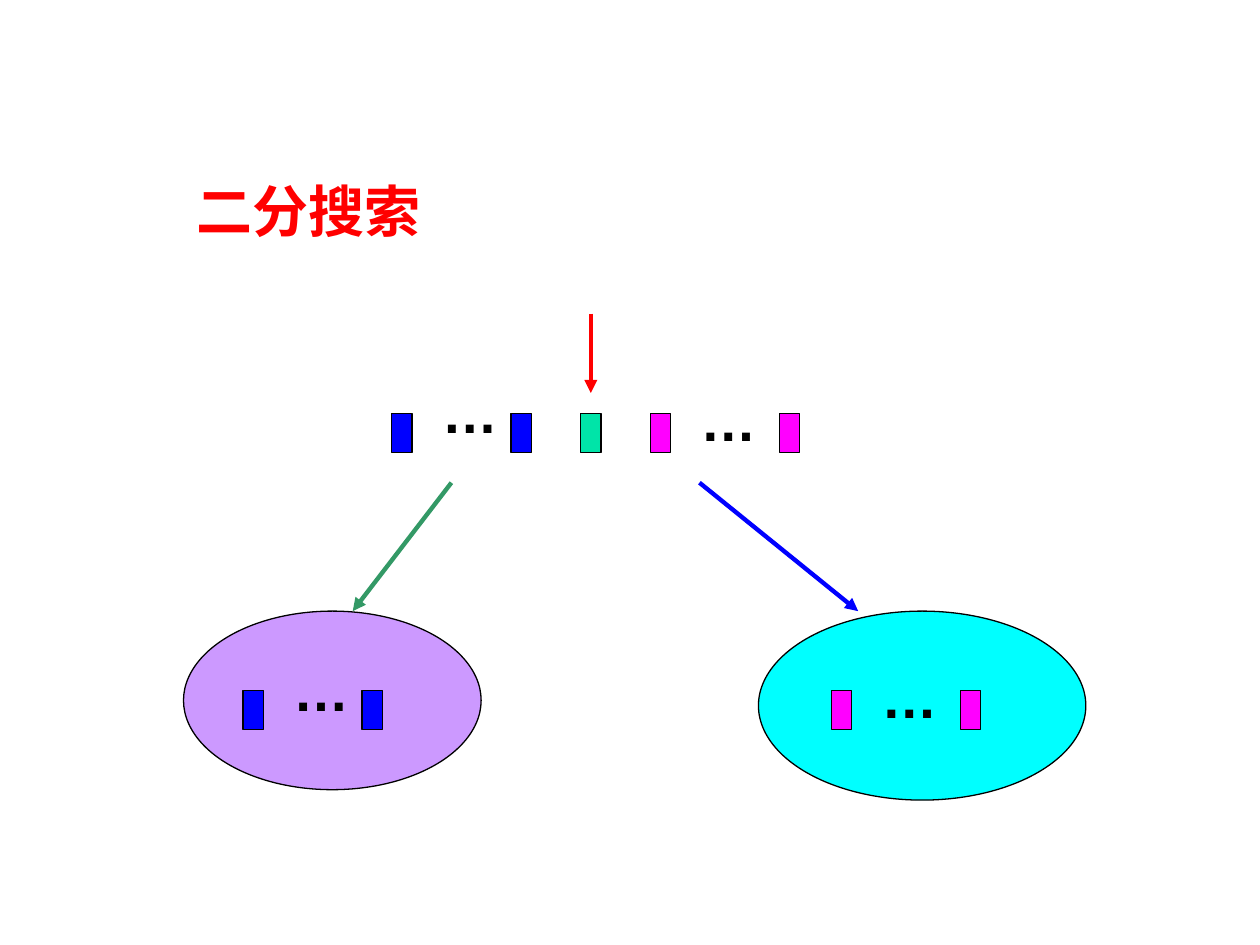
from dataclasses import dataclass

from lxml.etree import SubElement
from pptx import Presentation
from pptx.dml.color import RGBColor as Rgb
from pptx.enum.shapes import MSO_CONNECTOR as Connector, MSO_SHAPE as Preset
from pptx.enum.text import MSO_ANCHOR as Anchor, MSO_AUTO_SIZE as AutoSize, PP_ALIGN as Align
from pptx.oxml.ns import qn
from pptx.util import Cm, Pt


@dataclass(frozen=True)
class Theme:
    red: Rgb = Rgb(0xFF, 0x00, 0x00)
    black: Rgb = Rgb(0x00, 0x00, 0x00)
    blue: Rgb = Rgb(0x00, 0x00, 0xFF)
    magenta: Rgb = Rgb(0xFF, 0x00, 0xFF)
    mint: Rgb = Rgb(0x00, 0xE4, 0xA8)
    green: Rgb = Rgb(0x33, 0x99, 0x66)
    lilac: Rgb = Rgb(0xCC, 0x99, 0xFF)
    cyan: Rgb = Rgb(0x00, 0xFF, 0xFF)
    title_font: str = "Lato"
    body_font: str = "Arial"
    text_size: Pt = Pt(32)
    outline: Pt = Pt(0.75)
    arrow: Pt = Pt(2.5)


THEME = Theme()
BLOCK_WIDTH, BLOCK_HEIGHT = 0.41, 0.79
ROW_TOP, SUBSET_TOP = 8.33, 13.92


# All positions below are in centimetres
@dataclass(frozen=True)
class Half:
    """First and last element of a half, with dots between them."""
    color: Rgb
    step: float
    dots_rise: float


@dataclass(frozen=True)
class Subset:
    left: float
    top: float
    width: float
    height: float
    fill: Rgb


@dataclass(frozen=True)
class Arrow:
    start: tuple[float, float]
    end: tuple[float, float]
    color: Rgb


LOWER = Half(THEME.blue, 2.4, 0.84)
UPPER = Half(THEME.magenta, 2.6, 0.69)
HALVES = [
    (LOWER, 7.9, ROW_TOP), (UPPER, 13.11, ROW_TOP),
    (LOWER, 4.9, SUBSET_TOP), (UPPER, 16.76, SUBSET_TOP),
]
SUBSETS = [
    Subset(15.29, 12.32, 6.6, 3.81, THEME.cyan),
    Subset(3.7, 12.32, 6.0, 3.6, THEME.lilac),
]
ARROWS = [
    Arrow((11.91, 6.32), (11.91, 7.92), THEME.red),
    Arrow((9.1, 9.73), (7.11, 12.32), THEME.green),
    Arrow((14.1, 9.73), (17.3, 12.32), THEME.blue),
]


def add_filled(page, preset, left: float, top: float, width: float, height: float, fill: Rgb) -> None:
    shape = page.shapes.add_shape(preset, Cm(left), Cm(top), Cm(width), Cm(height))
    shape.shadow.inherit = False
    shape.fill.solid()
    shape.fill.fore_color.rgb = fill
    shape.line.color.rgb = THEME.black
    shape.line.width = THEME.outline


def add_block(page, left: float, top: float, fill: Rgb) -> None:
    add_filled(page, Preset.RECTANGLE, left, top, BLOCK_WIDTH, BLOCK_HEIGHT, fill)


def write(box, text: str, font_name: str, color: Rgb, wrap: bool) -> None:
    frame = box.text_frame
    frame.word_wrap = wrap
    frame.auto_size = AutoSize.SHAPE_TO_FIT_TEXT
    frame.vertical_anchor = Anchor.TOP
    para = frame.paragraphs[0]
    para.alignment = Align.LEFT
    span = para.add_run()
    span.text = text
    span.font.name = font_name
    span.font.size = THEME.text_size
    span.font.bold = True
    span.font.color.rgb = color


def add_half(page, half: Half, left: float, top: float) -> None:
    box = page.shapes.add_textbox(Cm(left + 0.76), Cm(top - half.dots_rise), Cm(1.65), Cm(1.6))
    write(box, "…", THEME.body_font, THEME.black, wrap=False)
    for offset in (0, half.step):
        add_block(page, left + offset, top, half.color)


def add_arrow(page, arrow: Arrow) -> None:
    line = page.shapes.add_connector(Connector.STRAIGHT, *map(Cm, arrow.start + arrow.end))
    line.line.color.rgb = arrow.color
    line.line.width = THEME.arrow
    SubElement(line.line._get_or_add_ln(), qn("a:tailEnd"), type="triangle")
    SubElement(line._element.spPr, qn("a:effectLst"))


def main() -> None:
    deck = Presentation()
    deck.slide_width, deck.slide_height = Cm(25.4), Cm(19.05)
    page = deck.slides.add_slide(deck.slide_layouts[5])

    # Title
    title = page.shapes.title
    title.left, title.top, title.width, title.height = Cm(3.7), Cm(3.43), Cm(7.0), Cm(1.6)
    write(title, "二分搜索", THEME.title_font, THEME.red, wrap=True)

    # Subsets behind their elements
    for subset in SUBSETS:
        add_filled(page, Preset.OVAL, subset.left, subset.top, subset.width, subset.height, subset.fill)

    # Sorted row with its middle element, and the halves again in the subsets
    for half, left, top in HALVES:
        add_half(page, half, left, top)
    add_block(page, 11.71, ROW_TOP, THEME.mint)

    # Probe and branches
    for arrow in ARROWS:
        add_arrow(page, arrow)

    deck.save("out.pptx")


if __name__ == "__main__":
    main()
